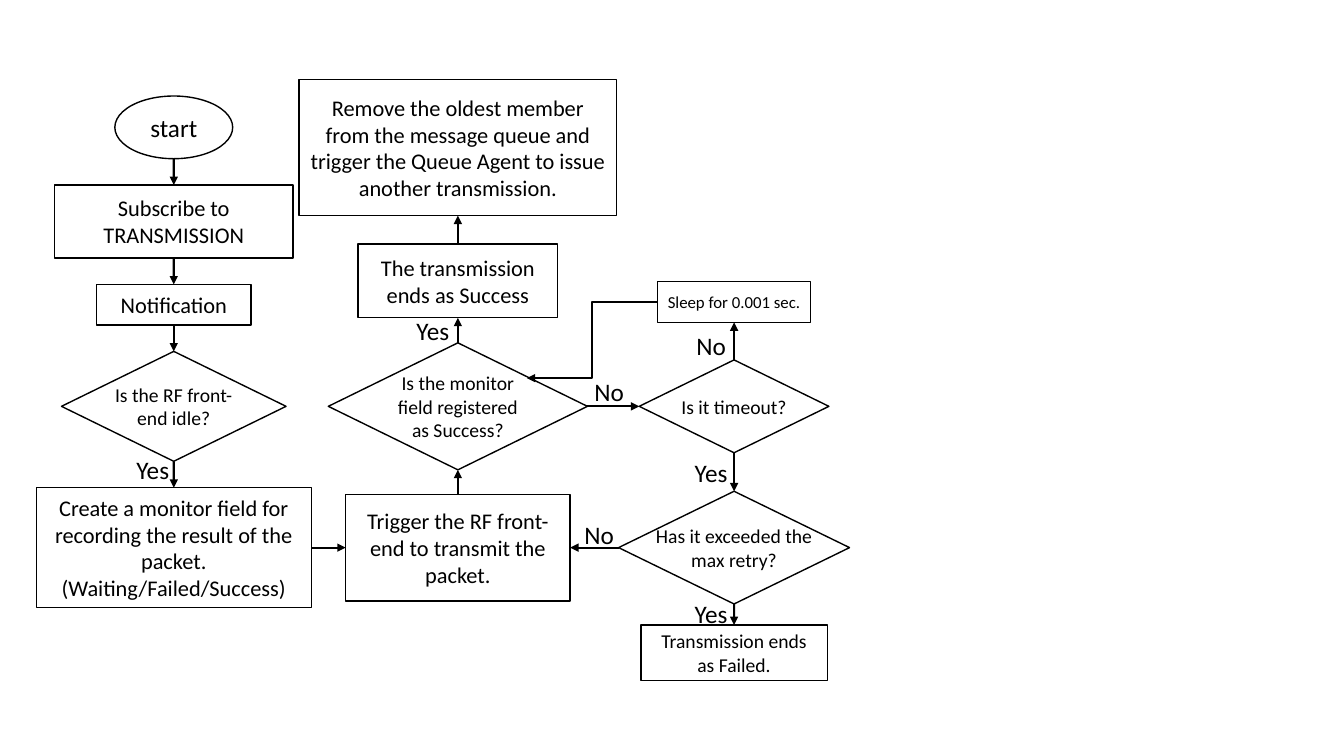
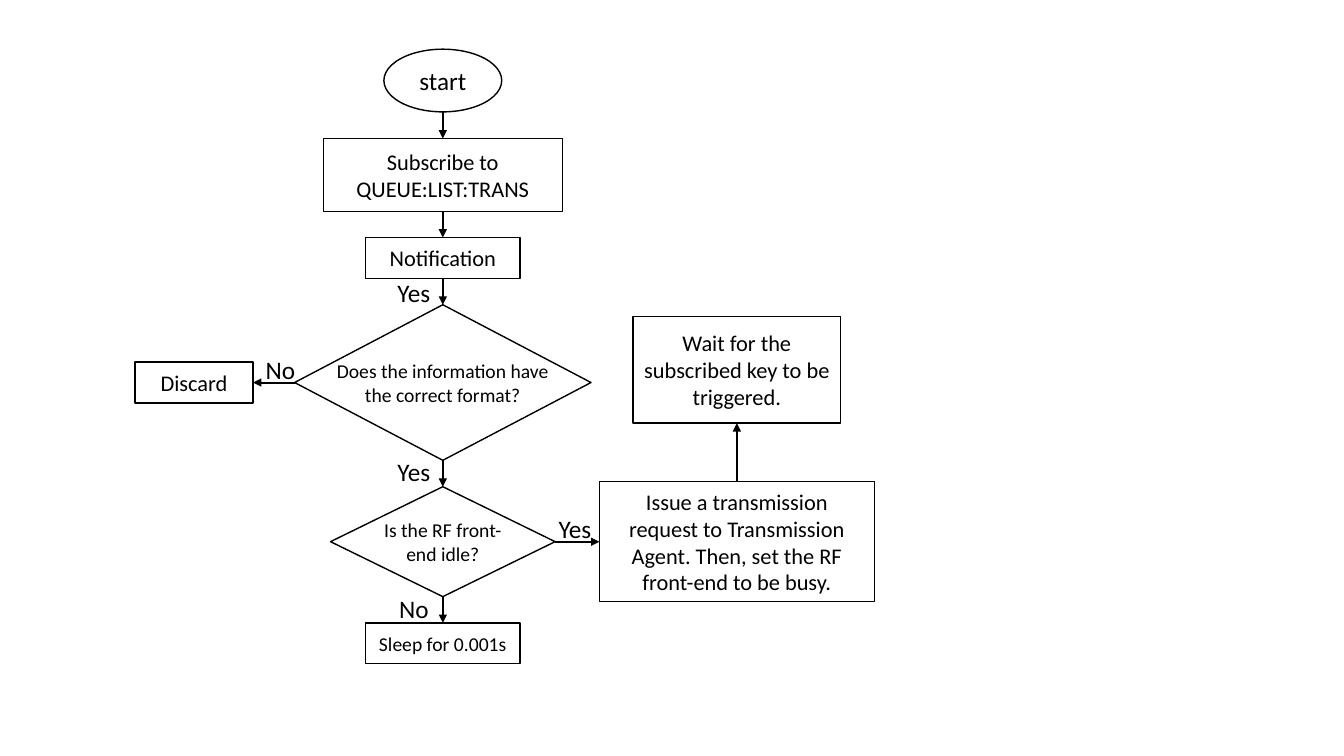
from lxml import etree
from pptx import Presentation
from pptx.dml.color import RGBColor
from pptx.enum import shapes, text
from pptx.oxml import ns
from pptx.util import Cm, Pt

COLORS = {"ink": "000000"}
FONT = "Calibri"
INK = RGBColor.from_string(COLORS["ink"])
KINDS = {
    "box": shapes.MSO_SHAPE.RECTANGLE,
    "decision": shapes.MSO_SHAPE.DIAMOND,
    "start": shapes.MSO_SHAPE.OVAL,
}
TOP, LEFT, BOTTOM, RIGHT = range(4)
LABEL_SIZE = (1.45, 1.02)


def write(shape, words, size):
    """Centred text in the shared style."""
    frame = shape.text_frame
    frame.word_wrap = True
    frame.vertical_anchor = text.MSO_ANCHOR.MIDDLE
    frame.text = words
    for paragraph in frame.paragraphs:
        paragraph.alignment = text.PP_ALIGN.CENTER
        paragraph.font.name = FONT
        paragraph.font.size = Pt(size)
        paragraph.font.color.rgb = INK


def add_arrow(slide, kind, begin, end):
    """Black connector with an arrowhead at its end."""
    arrow = slide.shapes.add_connector(kind, *begin, *end)
    arrow.line.color.rgb = INK
    arrow.line.width = Pt(1.5)
    etree.SubElement(arrow.line._get_or_add_ln(), ns.qn("a:tailEnd"), type="triangle")
    etree.SubElement(arrow._element.spPr, ns.qn("a:effectLst"))
    return arrow


# Columns and rows shared by the nodes (cm)
SEND_X, TRIGGER_X, RETRY_X = 4.38, 11.54, 18.5
CHECK_Y, PACKET_Y = 10.24, 13.8
QUEUE_X, ISSUE_X = 11.16, 18.57
FORMAT_Y, IDLE_Y = 9.64, 13.65

# nodes: kind, centre x, centre y, width, height, text width, size, text
# flows: from, side, to, side
# labels: centre x, centre y, text
# loops: elbow arrows, begin and end points
charts = [
    {
        "nodes": {
            "start": ("start", SEND_X, 3.21, 2.97, 1.58, 2.97, 18, "start"),
            "subscribe": ("box", SEND_X, 5.58, 6.02, 1.84, 6.02, 16,
                          "Subscribe to TRANSMISSION"),
            "notification": ("box", SEND_X, 7.68, 3.89, 1.03, 3.89, 16, "Notification"),
            "idle": ("decision", SEND_X, CHECK_Y, 5.66, 2.77, 3.94, 14,
                     "Is the RF front-end idle?"),
            "create": ("box", SEND_X, PACKET_Y, 6.93, 3.02, 6.93, 16,
                       "Create a monitor field for recording the result of the packet.\n"
                       "(Waiting/Failed/Success)"),
            "trigger": ("box", TRIGGER_X, PACKET_Y, 5.66, 2.69, 5.66, 16,
                        "Trigger the RF front-end to transmit the packet."),
            "monitor": ("decision", TRIGGER_X, CHECK_Y, 6.53, 3.2, 3.94, 14,
                        "Is the monitor field registered as Success?"),
            "success": ("box", TRIGGER_X, 7.08, 5.03, 1.86, 5.03, 16,
                        "The transmission ends as Success"),
            "remove": ("box", TRIGGER_X, 3.72, 8, 3.43, 8, 16,
                       "Remove the oldest member from the message queue and trigger "
                       "the Queue Agent to issue another transmission."),
            "timeout": ("decision", RETRY_X, CHECK_Y, 4.78, 2.34, 4.72, 14,
                        "Is it timeout?"),
            "sleep": ("box", RETRY_X, 7.61, 3.87, 1.03, 3.87, 12, "Sleep for 0.001 sec."),
            "retry": ("decision", RETRY_X, PACKET_Y, 5.82, 2.84, 4.72, 14,
                      "Has it exceeded the max retry?"),
            "failed": ("box", RETRY_X, 16.45, 4.7, 1.4, 4.7, 14,
                       "Transmission ends as Failed."),
        },
        "flows": [
            ("start", BOTTOM, "subscribe", TOP),
            ("subscribe", BOTTOM, "notification", TOP),
            ("notification", BOTTOM, "idle", TOP),
            ("idle", BOTTOM, "create", TOP),
            ("create", RIGHT, "trigger", LEFT),
            ("trigger", TOP, "monitor", BOTTOM),
            ("monitor", TOP, "success", BOTTOM),
            ("success", TOP, "remove", BOTTOM),
            ("monitor", RIGHT, "timeout", LEFT),
            ("timeout", TOP, "sleep", BOTTOM),
            ("timeout", BOTTOM, "retry", TOP),
            ("retry", LEFT, "trigger", RIGHT),
            ("retry", BOTTOM, "failed", TOP),
        ],
        "labels": [
            (3.85, 11.84, "Yes"), (10.91, 8.33, "Yes"), (17.92, 11.91, "Yes"),
            (17.92, 15.47, "Yes"), (15.1, 13.46, "No"), (17.92, 8.71, "No"),
            (15.35, 9.86, "No"),
        ],
        "loops": [((16.56, 7.61), (13.28, 9.53))],
    },
    {
        "nodes": {
            "start": ("start", QUEUE_X, 2.03, 2.97, 1.58, 2.97, 18, "start"),
            "subscribe": ("box", QUEUE_X, 4.41, 6.02, 1.84, 6.02, 16,
                          "Subscribe to QUEUE:LIST:TRANS"),
            "notification": ("box", QUEUE_X, 6.5, 3.89, 1.03, 3.89, 16, "Notification"),
            "format": ("decision", QUEUE_X, FORMAT_Y, 7.47, 3.92, 6.02, 14,
                       "Does the information have the correct format?"),
            "discard": ("box", 4.89, FORMAT_Y, 2.97, 1.03, 2.97, 16, "Discard"),
            "idle": ("decision", QUEUE_X, IDLE_Y, 5.66, 2.77, 3.94, 14,
                     "Is the RF front-end idle?"),
            "sleep": ("box", QUEUE_X, 16.21, 3.89, 1.03, 3.89, 14, "Sleep for 0.001s"),
            "issue": ("box", ISSUE_X, IDLE_Y, 6.93, 3.02, 6.93, 16,
                      "Issue a transmission request to Transmission Agent. "
                      "Then, set the RF front-end to be busy."),
            "wait": ("box", ISSUE_X, 9.32, 5.23, 2.69, 5.23, 16,
                     "Wait for the subscribed key to be triggered."),
        },
        "flows": [
            ("start", BOTTOM, "subscribe", TOP),
            ("subscribe", BOTTOM, "notification", TOP),
            ("notification", BOTTOM, "format", TOP),
            ("format", LEFT, "discard", RIGHT),
            ("format", BOTTOM, "idle", TOP),
            ("idle", BOTTOM, "sleep", TOP),
            ("idle", RIGHT, "issue", LEFT),
            ("issue", TOP, "wait", BOTTOM),
        ],
        "labels": [
            (10.43, 7.37, "Yes"), (10.43, 11.89, "Yes"), (14.49, 13.31, "Yes"),
            (10.43, 15.34, "No"), (7.07, 9.32, "No"),
        ],
        "loops": [],
    },
]

presentation = Presentation()
presentation.slide_width = Cm(33.87)
presentation.slide_height = Cm(19.05)

for chart in charts:
    slide = presentation.slides.add_slide(presentation.slide_layouts[6])

    # Nodes: boxes hold their text, other outlines carry a wider text box
    nodes = {}
    for name, (kind, x, y, width, height, text_width, size, words) in chart["nodes"].items():
        top = Cm(y - height / 2)
        shape = slide.shapes.add_shape(
            KINDS[kind], Cm(x - width / 2), top, Cm(width), Cm(height))
        shape.shadow.inherit = False
        shape.fill.background()
        shape.line.color.rgb = INK
        shape.line.width = Pt(1)
        nodes[name] = shape
        caption = shape
        if kind != "box":
            caption = slide.shapes.add_textbox(
                Cm(x - text_width / 2), top, Cm(text_width), Cm(height))
        write(caption, words, size)

    # Straight arrows between nodes
    for source, source_side, target, target_side in chart["flows"]:
        begin = nodes[source]
        start_point = (begin.left + begin.width // 2, begin.top + begin.height)
        arrow = add_arrow(slide, shapes.MSO_CONNECTOR.STRAIGHT, start_point, start_point)
        if source != "start":  # an oval numbers its sites differently
            arrow.begin_connect(begin, source_side)
        arrow.end_connect(nodes[target], target_side)

    # Elbow arrows
    for begin, end in chart["loops"]:
        add_arrow(slide, shapes.MSO_CONNECTOR.ELBOW, map(Cm, begin), map(Cm, end))

    # Yes and No labels
    width, height = LABEL_SIZE
    for x, y, words in chart["labels"]:
        label = slide.shapes.add_textbox(
            Cm(x - width / 2), Cm(y - height / 2), Cm(width), Cm(height))
        write(label, words, 18)

presentation.save("out.pptx")
